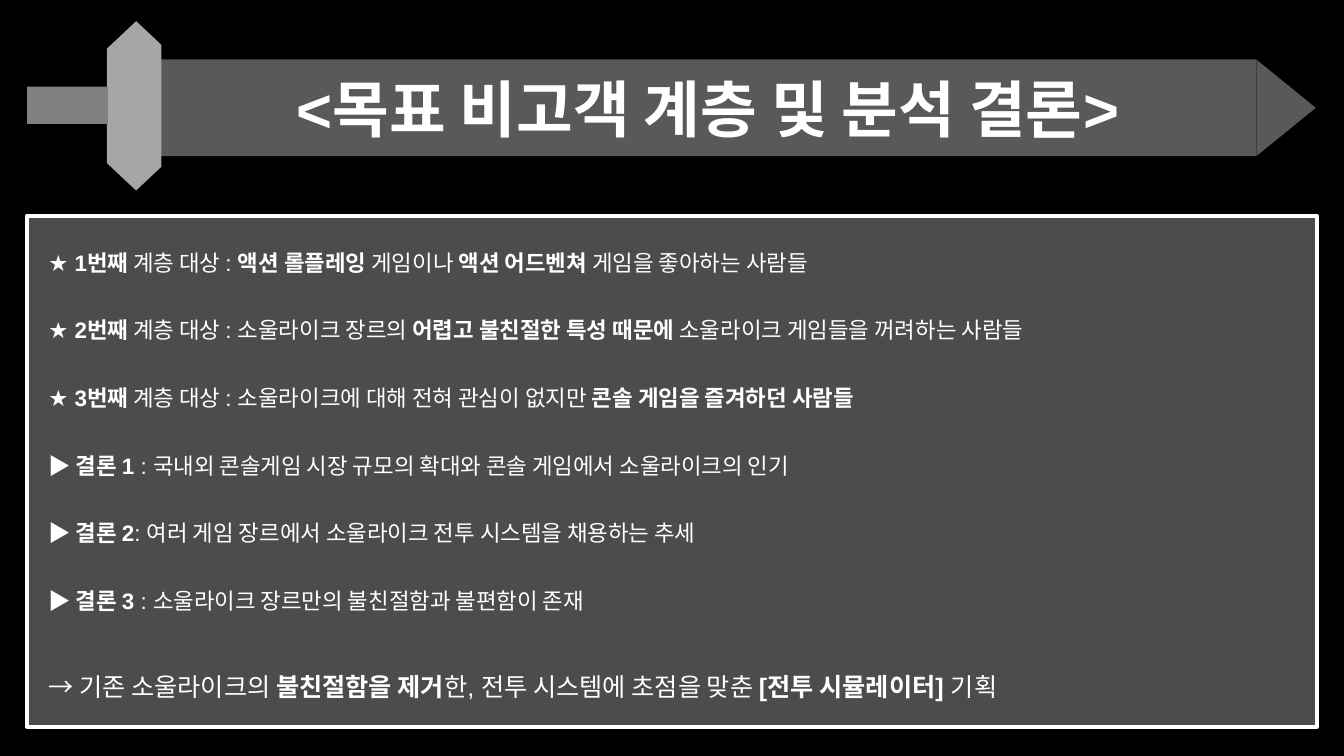
from dataclasses import dataclass

from lxml import etree
from pptx import Presentation
from pptx.dml.color import RGBColor
from pptx.enum.shapes import MSO_SHAPE
from pptx.enum.text import MSO_ANCHOR, MSO_AUTO_SIZE, PP_ALIGN
from pptx.oxml.ns import qn
from pptx.util import Inches, Pt

RECTANGLE = MSO_SHAPE.RECTANGLE
TRAPEZOID = MSO_SHAPE.TRAPEZOID
TRIANGLE = MSO_SHAPE.ISOSCELES_TRIANGLE
BOTTOM, TOP = MSO_ANCHOR.BOTTOM, MSO_ANCHOR.TOP
CENTER, LEFT = PP_ALIGN.CENTER, PP_ALIGN.LEFT
NO_AUTOFIT = MSO_AUTO_SIZE.NONE

TITLE = "<목표 비고객 계층 및 분석 결론>"
POINTS = [
    [("★ ", False), ("1번째 ", True), ("계층 대상 : ", False),
     ("액션 롤플레잉 ", True), ("게임이나 ", False),
     ("액션 어드벤쳐 ", True), ("게임을 좋아하는 사람들", False)],
    [("★ ", False), ("2번째 ", True), ("계층 대상 : 소울라이크 장르의 ", False),
     ("어렵고 불친절한 특성 때문에 ", True),
     ("소울라이크 게임들을 꺼려하는 사람들", False)],
    [("★ ", False), ("3번째 ", True),
     ("계층 대상 : 소울라이크에 대해 전혀 관심이 없지만 ", False),
     ("콘솔 게임을 즐겨하던 사람들", True)],
    [("▶ ", False), ("결론 1 ", True),
     (": 국내외 콘솔게임 시장 규모의 확대와 콘솔 게임에서 소울라이크의 인기", False)],
    [("▶ ", False), ("결론 2", True),
     (": 여러 게임 장르에서 소울라이크 전투 시스템을 채용하는 추세", False)],
    [("▶ ", False), ("결론 3 ", True),
     (": 소울라이크 장르만의 불친절함과 불편함이 존재", False)],
]
PLAN = [("→ 기존 소울라이크의 ", False), ("불친절함을 제거", True),
        ("한, 전투 시스템에 초점을 맞춘 ", False),
        ("[전투 시뮬레이터] ", True), ("기획", False)]


@dataclass(frozen=True)
class Theme:
    font: str = "Arial"
    background: str = "000000"
    text: str = "FFFFFF"
    panel: str = "808080"
    panel_opacity: int = 60
    guard: str = "A6A6A6"
    handle: str = "808080"
    blade: str = "595959"
    title_size: int = 44
    point_size: int = 16
    plan_size: int = 18
    border: int = 3


THEME = Theme()
BLADE = (1.58, 0.59, 10.88, 0.96)
SWORD = [
    (TRAPEZOID, (1.06, 0.21, 0.29, 1.68), 270, THEME.guard),
    (RECTANGLE, (0.27, 0.86, 0.8, 0.37), 0, THEME.handle),
    (RECTANGLE, BLADE, 0, THEME.blade),
    (TRAPEZOID, (1.35, 0.21, 0.25, 1.68), 90, THEME.guard),
    (TRIANGLE, (12.46, 0.59, 0.59, 0.96), 90, THEME.blade),
]
GUARD_SLANT = 0.94


def add_part(slide, kind, area, turn, color):
    left, top, width, height = area
    if turn:
        left += (width - height) / 2
        top += (height - width) / 2
        width, height = height, width
    part = slide.shapes.add_shape(kind, *map(Inches, (left, top, width, height)))
    part.rotation = turn
    part.shadow.inherit = False
    part.fill.solid()
    part.fill.fore_color.rgb = RGBColor.from_string(color)
    part.line.fill.background()
    if kind == TRAPEZOID:
        part.adjustments[0] = GUARD_SLANT
    return part


def add_panel(slide):
    panel = add_part(slide, RECTANGLE, (0.27, 2.14, 12.79, 5.07), 0, THEME.panel)
    color = panel.fill._xPr.find(qn("a:solidFill"))[0]
    etree.SubElement(color, qn("a:alpha"), val=str(THEME.panel_opacity * 1000))
    panel.line.color.rgb = RGBColor.from_string(THEME.text)
    panel.line.width = Pt(THEME.border)


def place(slide, box, area, anchor):
    box.left, box.top, box.width, box.height = map(Inches, area)
    slide.shapes._spTree.append(box._element)
    frame = box.text_frame
    frame.word_wrap = True
    frame.auto_size = NO_AUTOFIT
    frame.vertical_anchor = anchor
    return frame


def write(para, spans, size, align, line_spacing, space_before):
    properties = para._p.get_or_add_pPr()
    properties.set("marL", "0")
    properties.set("indent", "0")
    etree.SubElement(properties, qn("a:buNone"))
    para.alignment = align
    para.line_spacing = line_spacing
    para.space_before = Pt(space_before)
    for text, bold in spans:
        span = para.add_run()
        span.text = text
        span.font.name = THEME.font
        span.font.size = Pt(size)
        span.font.bold = bold
        span.font.color.rgb = RGBColor.from_string(THEME.text)


def main():
    deck = Presentation()
    deck.slide_width, deck.slide_height = Inches(13.33), Inches(7.5)
    page = deck.slides.add_slide(deck.slide_layouts[1])
    page.background.fill.solid()
    page.background.fill.fore_color.rgb = RGBColor.from_string(THEME.background)

    add_panel(page)
    for part in SWORD:
        add_part(page, *part)

    title = place(page, page.shapes.title, (1.58, 0.59, 10.88, 0.91), BOTTOM)
    write(title.paragraphs[0], [(TITLE, True)], THEME.title_size, CENTER, 0.9, 0)

    body = place(page, page.placeholders[1], (0.38, 2.15, 12.56, 4.34), TOP)
    for index, spans in enumerate(POINTS):
        para = body.add_paragraph() if index else body.paragraphs[0]
        write(para, spans, THEME.point_size, LEFT, 2.0, 10 if index else 0)
    write(body.add_paragraph(), PLAN, THEME.plan_size, LEFT, 1.0, 41)

    deck.save("out.pptx")


if __name__ == "__main__":
    main()
